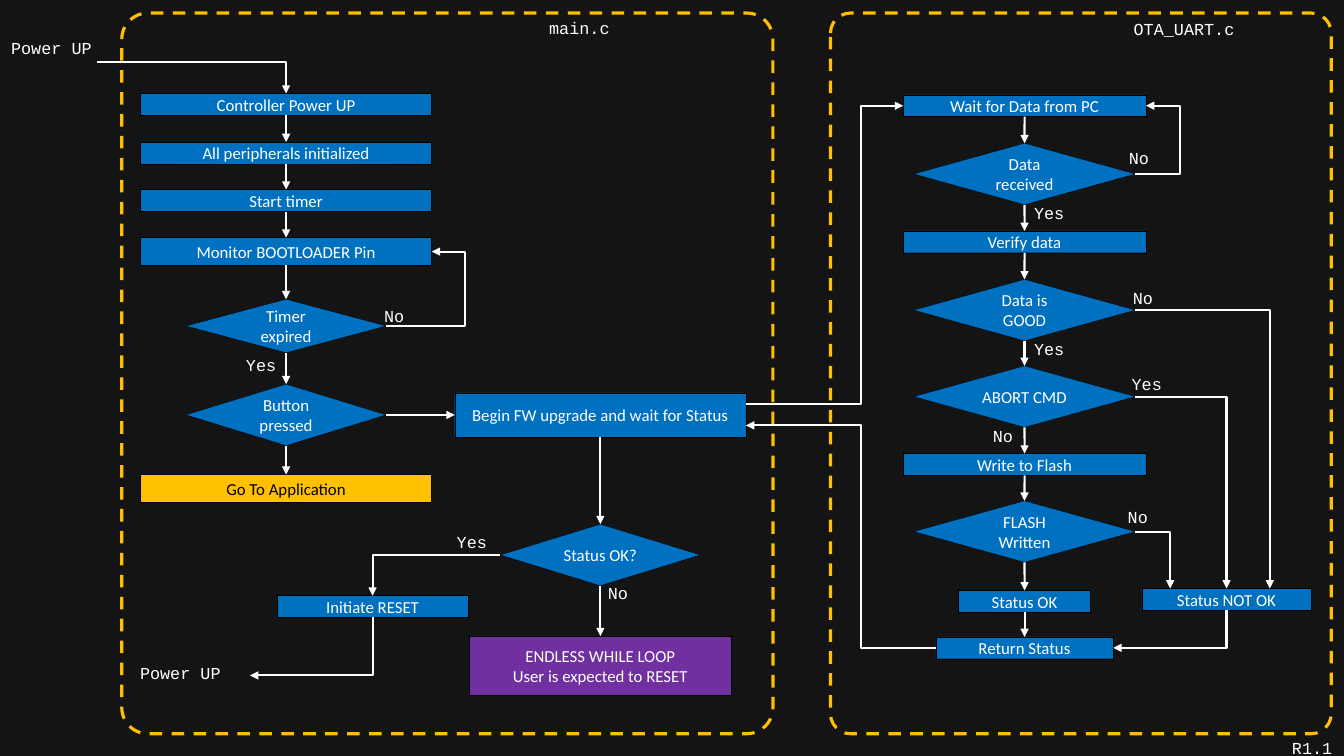
from itertools import pairwise

from lxml import etree
from pptx import Presentation
from pptx import util as u
from pptx.dml import color
from pptx.enum import dml, shapes, text
from pptx.oxml import ns

COLOURS = {
    "night": "141414",
    "blue": "0070C0",
    "amber": "FFC000",
    "purple": "7030A0",
    "white": "FFFFFF",
    "black": "000000",
}
RECT = shapes.MSO_SHAPE.RECTANGLE
DIAMOND = shapes.MSO_SHAPE.DIAMOND
TOP, LEFT, BOTTOM, RIGHT = range(4)
MAIN_X, STATUS_X, RESET_X, OTA_X, NOT_OK_X = 7.21, 15.13, 9.39, 25.82, 30.91
BAR_HEIGHT, CHOICE_HEIGHT = 0.55, 1.55
MAIN_WIDTH, MAIN_CHOICE, OTA_WIDTH, OTA_CHOICE = 7.34, 5.05, 6.12, 5.59


def rgb(name):
    return color.RGBColor.from_string(COLOURS[name])


def point(x, y):
    return u.Cm(x), u.Cm(y)


def style_text(frame, font, ink, align):
    for para in frame.paragraphs:
        para.alignment = align
        for span in para.runs:
            span.font.name = font
            span.font.size = u.Pt(12)
            span.font.color.rgb = rgb(ink)


def add_step(page, caption, centre, top, width, height=BAR_HEIGHT, kind=RECT,
             fill="blue", ink="white"):
    box = page.shapes.add_shape(kind, u.Cm(centre - width / 2), u.Cm(top),
                                u.Cm(width), u.Cm(height))
    box.shadow.inherit = False
    box.fill.solid()
    box.fill.fore_color.rgb = rgb(fill)
    box.line.color.rgb = rgb("black")
    box.line.width = u.Pt(0.25)
    box.text_frame.text = caption
    box.text_frame.vertical_anchor = text.MSO_ANCHOR.MIDDLE
    style_text(box.text_frame, "Calibri", ink, text.PP_ALIGN.CENTER)
    return box


def add_choice(page, caption, centre, top, width, height=CHOICE_HEIGHT):
    return add_step(page, caption, centre, top, width, height, DIAMOND)


def add_label(page, caption, left, top, width, height=0.64, padded=False):
    box = page.shapes.add_textbox(u.Cm(left), u.Cm(top), u.Cm(width), u.Cm(height))
    frame = box.text_frame
    frame.word_wrap = False
    frame.auto_size = text.MSO_AUTO_SIZE.SHAPE_TO_FIT_TEXT
    if not padded:
        frame.margin_left = frame.margin_right = 0
        frame.margin_top = frame.margin_bottom = 0
    frame.text = caption
    style_text(frame, "Courier New", "white", text.PP_ALIGN.LEFT)


def add_frame(page, left, width):
    frame = page.shapes.add_shape(shapes.MSO_SHAPE.ROUNDED_RECTANGLE, u.Cm(left),
                                  u.Cm(0.33), u.Cm(width), u.Cm(18.16))
    frame.adjustments[0] = 0.04
    frame.shadow.inherit = False
    frame.fill.background()
    frame.line.color.rgb = rgb("amber")
    frame.line.width = u.Pt(2.25)
    frame.line.dash_style = dml.MSO_LINE.DASH


def side(box, site):
    middle_x, middle_y = box.left + box.width // 2, box.top + box.height // 2
    return {
        TOP: (middle_x, box.top),
        LEFT: (box.left, middle_y),
        BOTTOM: (middle_x, box.top + box.height),
        RIGHT: (box.left + box.width, middle_y),
    }[site]


def add_arrow(page, kind, start, end):
    arrow = page.shapes.add_connector(kind, *start, *end)
    arrow.line.color.rgb = rgb("white")
    arrow.line.width = u.Pt(1.5)
    properties = arrow._element.spPr
    etree.SubElement(properties.find(ns.qn("a:ln")), ns.qn("a:tailEnd"), type="triangle")
    etree.SubElement(properties, ns.qn("a:effectLst"))
    return arrow


def join(page, source, target, leave=BOTTOM, enter=TOP):
    arrow = add_arrow(page, shapes.MSO_CONNECTOR.STRAIGHT,
                      side(source, leave), side(target, enter))
    arrow.begin_connect(source, leave)
    arrow.end_connect(target, enter)


def add_detour(page, start, end, bend):
    arrow = add_arrow(page, shapes.MSO_CONNECTOR.ELBOW, start, end)
    share = (u.Cm(bend) - start[0]) / (end[0] - start[0])
    guides = arrow._element.spPr.find(ns.qn("a:prstGeom")).find(ns.qn("a:avLst"))
    etree.SubElement(guides, ns.qn("a:gd"), name="adj1", fmla=f"val {round(share * 100000)}")


def add_corner(page, start, end):
    arrow = add_arrow(page, shapes.MSO_CONNECTOR.ELBOW, start, end)
    arrow._element.spPr.find(ns.qn("a:prstGeom")).set("prst", "bentConnector2")
    return arrow


def add_down_left(page, start, end):
    across, down = start[0] - end[0], end[1] - start[1]
    left = (start[0] + end[0] - down) // 2
    top = (start[1] + end[1] - across) // 2
    arrow = add_corner(page, (left, top), (left + down, top + across))
    arrow._element.spPr.find(ns.qn("a:xfrm")).set("rot", "5400000")


def build_main(page):
    chain = [add_step(page, caption, MAIN_X, top, MAIN_WIDTH) for caption, top in (
        ("Controller Power UP", 2.36),
        ("All peripherals initialized", 3.58),
        ("Start timer", 4.78),
    )]
    monitor = add_step(page, "Monitor BOOTLOADER Pin", MAIN_X, 5.99, MAIN_WIDTH, 0.7)
    timer = add_choice(page, "Timer expired", MAIN_X, 7.54, MAIN_CHOICE, 1.35)
    button = add_choice(page, "Button pressed", MAIN_X, 9.68, MAIN_CHOICE)
    application = add_step(page, "Go To Application", MAIN_X, 11.96, MAIN_WIDTH, 0.7,
                           fill="amber", ink="black")
    chain += [monitor, timer, button, application]
    begin = add_step(page, "Begin FW upgrade and wait for Status", STATUS_X, 9.9,
                     MAIN_WIDTH, 1.11)
    status = add_choice(page, "Status OK?", STATUS_X, 13.21, MAIN_CHOICE)
    endless = add_step(page, "ENDLESS WHILE LOOP\nUser is expected to RESET", STATUS_X,
                       16.03, 6.6, 1.5, fill="purple")
    reset = add_step(page, "Initiate RESET", RESET_X, 15.01, 4.8)

    for source, target in [*pairwise(chain), (begin, status), (status, endless)]:
        join(page, source, target)
    join(page, button, begin, RIGHT, LEFT)
    add_detour(page, side(timer, RIGHT), side(monitor, RIGHT), 11.73)
    add_corner(page, point(2.44, 1.57), side(chain[0], TOP))
    add_corner(page, side(status, LEFT), side(reset, TOP))
    add_down_left(page, side(reset, BOTTOM), point(6.3, 17.02))


def build_ota(page):
    wait = add_step(page, "Wait for Data from PC", OTA_X, 2.39, OTA_WIDTH)
    received = add_choice(page, "Data received", OTA_X, 3.61, OTA_CHOICE)
    verify = add_step(page, "Verify data", OTA_X, 5.82, OTA_WIDTH)
    good = add_choice(page, "Data is GOOD", OTA_X, 7.04, OTA_CHOICE)
    abort = add_choice(page, "ABORT CMD", OTA_X, 9.22, OTA_CHOICE)
    write = add_step(page, "Write to Flash", OTA_X, 11.43, OTA_WIDTH)
    written = add_choice(page, "FLASH Written", OTA_X, 12.62, OTA_CHOICE)
    success = add_step(page, "Status OK", OTA_X, 14.88, 3.33)
    answer = add_step(page, "Return Status", OTA_X, 16.05, 4.47)
    failure = add_step(page, "Status NOT OK", NOT_OK_X, 14.83, 4.27)

    chain = [wait, received, verify, good, abort, write, written, success, answer]
    for source, target in pairwise(chain):
        join(page, source, target)
    add_detour(page, side(received, RIGHT), side(wait, RIGHT), 29.74)
    for choice, x in ((written, 29.49), (abort, NOT_OK_X), (good, 32.0)):
        add_corner(page, side(choice, RIGHT), (u.Cm(x), failure.top))
    add_down_left(page, side(failure, BOTTOM), side(answer, RIGHT))
    add_detour(page, point(18.8, 10.19), side(wait, LEFT), 21.69)
    add_detour(page, side(answer, LEFT), point(18.8, 10.72), 21.69)


def main():
    deck = Presentation()
    deck.slide_width, deck.slide_height = u.Cm(33.87), u.Cm(19.05)
    page = deck.slides.add_slide(deck.slide_layouts[6])
    page.background.fill.solid()
    page.background.fill.fore_color.rgb = rgb("night")

    build_main(page)
    build_ota(page)
    add_frame(page, 20.93, 12.62)
    add_frame(page, 3.07, 16.41)

    for left, top in ((9.68, 7.7), (25.02, 10.72), (28.55, 7.24), (28.45, 3.73),
                      (28.42, 12.78), (15.32, 14.68)):
        add_label(page, "No", left, top, 0.69)
    for left, top in ((6.2, 8.94), (28.52, 9.42), (26.06, 5.11), (26.06, 8.53),
                      (11.51, 13.41)):
        add_label(page, "Yes", left, top, 1.04)
    for left, top in ((0.28, 0.94), (3.53, 16.69)):
        add_label(page, "Power UP", left, top, 2.74)
    add_label(page, "main.c", 13.59, 0.33, 2.74, 0.94, padded=True)
    add_label(page, "OTA_UART.c", 28.32, 0.36, 4.14, 0.94, padded=True)
    add_label(page, "R1.1", 32.31, 18.47, 1.55, 0.76, padded=True)
    deck.save("out.pptx")


if __name__ == "__main__":
    main()
